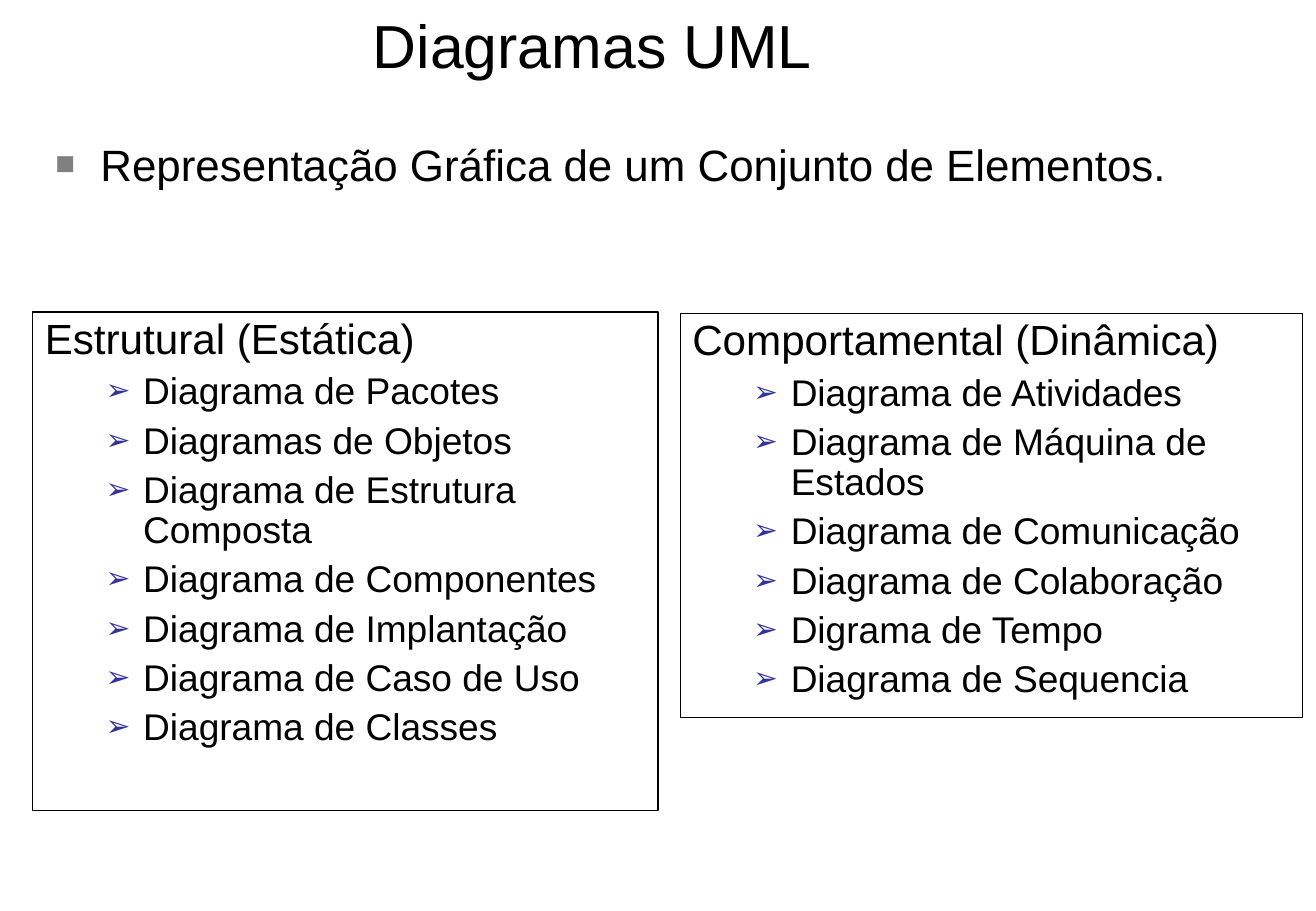
from lxml.etree import SubElement
from pptx import Presentation
from pptx.dml.color import RGBColor
from pptx.enum.shapes import MSO_SHAPE as SHAPE
from pptx.enum.text import MSO_ANCHOR as ANCHOR, MSO_AUTO_SIZE as AUTO, PP_ALIGN as ALIGN
from pptx.oxml.ns import qn
from pptx.util import Inches, Pt


def color(hex_text):
    """Turn a hex string into a colour."""
    return RGBColor.from_string(hex_text)


def write(p, text, size=22, font="Arial", fill="000000", align=ALIGN.LEFT,
          line=1.0, before=0, margin=0, indent=0, level=0, bullet=None):
    """Fill a paragraph; bullet is a (character, colour, percent) triple."""
    p.alignment, p.line_spacing, p.level = align, line, level
    p.space_before, p.space_after = Pt(before), Pt(0)
    r = p.add_run()
    r.text = text
    r.font.name, r.font.size = font, Pt(size)
    r.font.color.rgb = color(fill)
    pPr = p._p.get_or_add_pPr()
    pPr.set("marL", str(Inches(margin)))
    pPr.set("indent", str(Inches(indent)))
    if bullet:
        char, tint, percent = bullet
        SubElement(SubElement(pPr, qn("a:buClr")), qn("a:srgbClr"), val=tint)
        SubElement(pPr, qn("a:buSzPct"), val=str(percent * 1000))
        SubElement(pPr, qn("a:buFont"), typeface=font)
        SubElement(pPr, qn("a:buChar"), char=char)
    else:
        SubElement(pPr, qn("a:buNone"))


class Deck:
    """Hold the style and the current slide; places are percent of its size."""

    HEADING = dict(size=25, line=0.9, before=6.2, margin=0.37, indent=-0.37)
    ITEM = dict(size=22, line=0.9, before=5.5, margin=0.81, indent=-0.31,
                level=1, bullet=("➢", "333399", 80))
    LEAD = dict(size=26, before=6.5, margin=0.37, indent=-0.37,
                bullet=("■", "808080", 75))

    def __init__(self, width, height):
        """Start a presentation with one title-only slide."""
        self.prs = Presentation()
        self.prs.slide_width, self.prs.slide_height = Inches(width), Inches(height)
        self.s = self.prs.slides.add_slide(self.prs.slide_layouts[5])

    def place(self, x, y, w, h):
        """Convert percent shares into slide lengths."""
        sw, sh = self.prs.slide_width, self.prs.slide_height
        return [int(share * full / 100) for share, full in zip((x, y, w, h), (sw, sh, sw, sh))]

    def frame(self, sp, anchor=ANCHOR.TOP):
        """Set wrapping and anchor, and return the text frame."""
        tf = sp.text_frame
        tf.word_wrap, tf.auto_size, tf.vertical_anchor = True, AUTO.NONE, anchor
        return tf

    def title(self, text, *area):
        """Move and fill the title placeholder."""
        sp = self.s.shapes.title
        sp.left, sp.top, sp.width, sp.height = self.place(*area)
        tf = self.frame(sp, ANCHOR.MIDDLE)
        write(tf.paragraphs[0], text, size=36, align=ALIGN.CENTER)

    def lead(self, text, *area):
        """Add the bulleted opening statement."""
        sp = self.s.shapes.add_textbox(*self.place(*area))
        write(self.frame(sp).paragraphs[0], text, **self.LEAD)

    def panel(self, heading, items, *area):
        """Add an outlined box with a heading and a bulleted list."""
        sp = self.s.shapes.add_shape(SHAPE.RECTANGLE, *self.place(*area))
        sp.shadow.inherit = False
        sp.fill.background()
        sp.line.color.rgb, sp.line.width = color("000000"), Pt(0.75)
        tf = self.frame(sp)
        write(tf.paragraphs[0], heading, **self.HEADING)
        for item in items:
            write(tf.add_paragraph(), item, **self.ITEM)


def main():
    """Build the slide and save it."""
    deck = Deck(10.83, 7.5)
    deck.title("Diagramas UML", 0, 0, 90, 9.6)
    deck.panel("Estrutural (Estática)", [
        "Diagrama de Pacotes",
        "Diagramas de Objetos",
        "Diagrama de Estrutura Composta",
        "Diagrama de Componentes",
        "Diagrama de Implantação",
        "Diagrama de Caso de Uso",
        "Diagrama de Classes",
    ], 2.5, 34.25, 47.5, 54.7)
    deck.panel("Comportamental (Dinâmica)", [
        "Diagrama de Atividades",
        "Diagrama de Máquina de Estados",
        "Diagrama de Comunicação",
        "Diagrama de Colaboração",
        "Digrama de Tempo",
        "Diagrama de Sequencia",
    ], 51.7, 34.4, 47.3, 44.4)
    deck.lead("Representação Gráfica de um Conjunto de Elementos.", 3.3, 14.4, 90, 8.5)
    deck.prs.save("out.pptx")


if __name__ == "__main__":
    main()
